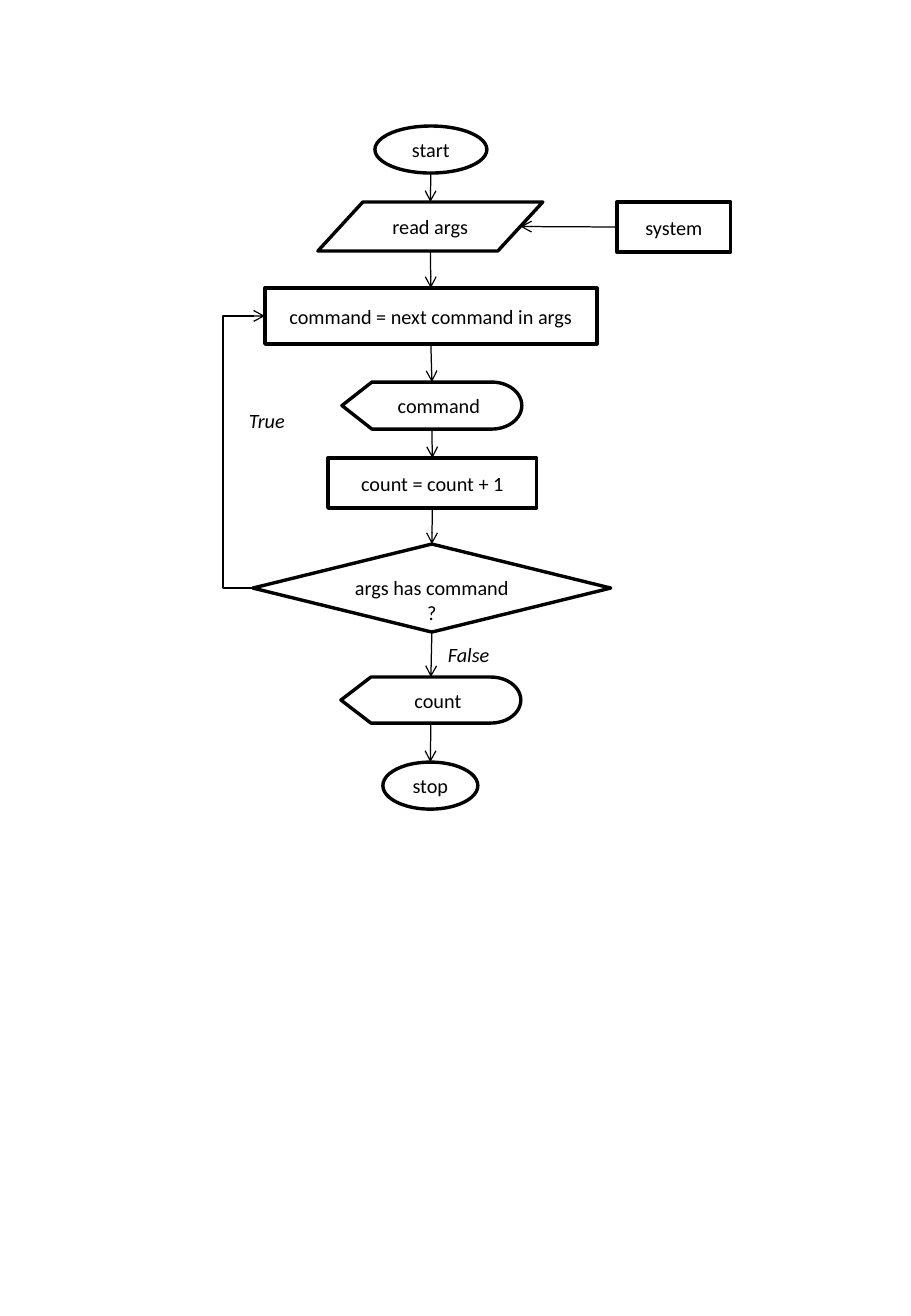
"""Build a flowchart that reads arguments, shows each command and counts them."""
from lxml import etree
from pptx import Presentation
from pptx import util as u
from pptx.dml.color import RGBColor
from pptx.enum import shapes, text
from pptx.oxml.ns import qn

PIXEL = u.Inches(1) / 121.5
BLACK = RGBColor(0, 0, 0)
WHITE = RGBColor(255, 255, 255)
FORM = shapes.MSO_SHAPE
INSET = 12


def pixels(*lengths):
    return [u.Emu(round(length * PIXEL)) for length in lengths]


def write(box, words, align, italic=False):
    frame = box.text_frame
    frame.text = words
    frame.word_wrap = False
    frame.vertical_anchor = text.MSO_ANCHOR.MIDDLE
    for para in frame.paragraphs:
        para.alignment = align
        para.font.name = "Calibri"
        para.font.size = u.Pt(12)
        para.font.italic = italic
        para.font.color.rgb = BLACK


deck = Presentation()
deck.slide_width, deck.slide_height = u.Inches(7.5), u.Inches(10.83)
page = deck.slides.add_slide(deck.slide_layouts[6])

steps = {
    "start": (FORM.OVAL, "start", 375, 126, 112, 47),
    "read": (FORM.FLOWCHART_DATA, "read args", 318, 202, 225, 49),
    "next": (FORM.RECTANGLE, "command = next command in args", 265, 288, 332, 56),
    "show command": (FORM.FLOWCHART_DISPLAY, "command", 342, 382, 180, 47),
    "add": (FORM.RECTANGLE, "count = count + 1", 328, 458, 209, 50),
    "test": (FORM.FLOWCHART_DECISION, "args has command\n?", 253, 544, 358, 88),
    "show count": (FORM.FLOWCHART_DISPLAY, "count", 341, 677, 180, 46),
    "stop": (FORM.OVAL, "stop", 383, 762, 95, 47),
    "system": (FORM.RECTANGLE, "system", 617, 202, 114, 50),
}
boxes, ports = {}, {}
for name, (form, words, left, top, width, height) in steps.items():
    box = page.shapes.add_shape(form, *pixels(left, top, width, height))
    box.shadow.inherit = False
    box.fill.solid()
    box.fill.fore_color.rgb = WHITE
    box.line.color.rgb = BLACK
    box.line.width = u.Pt(2)
    write(box, words, text.PP_ALIGN.CENTER)
    if form == FORM.FLOWCHART_DISPLAY:
        box.text_frame.margin_left = pixels(INSET + 14)[0]
    elif form == FORM.FLOWCHART_DECISION:
        box.text_frame.margin_top = pixels(INSET / 2 + 24)[0]

    sites = {FORM.OVAL: (0, 2, 4, 6), FORM.FLOWCHART_DATA: (1, 2, 4, 5)}.get(form, (0, 1, 2, 3))
    slant = width / 10 if form == FORM.FLOWCHART_DATA else 0
    center, middle = left + width / 2, top + height / 2
    points = [(center, top), (left + slant, middle),
              (center, top + height), (left + width - slant, middle)]
    boxes[name] = box
    ports[name] = dict(zip(("top", "left", "bottom", "right"), zip(points, sites)))

flow = [name for name in steps if name != "system"]
links = [(first, "bottom", second, "top") for first, second in zip(flow, flow[1:])]
links += [("system", "left", "read", "right"), ("test", "left", "next", "left")]
for source, source_side, target, target_side in links:
    (start, start_site), (end, end_site) = ports[source][source_side], ports[target][target_side]
    loops = source_side == target_side
    kind = shapes.MSO_CONNECTOR.ELBOW if loops else shapes.MSO_CONNECTOR.STRAIGHT
    arrow = page.shapes.add_connector(kind, *pixels(*start, *end))
    arrow.line.color.rgb = BLACK
    arrow.line.width = u.Pt(0.75)
    properties = arrow._element.spPr
    etree.SubElement(properties.find(qn("a:ln")), qn("a:tailEnd"), type="arrow")
    etree.SubElement(properties, qn("a:effectLst"))
    if loops:
        bend = round((223 - start[0]) / (end[0] - start[0]) * 100000)
        guides = properties.find(qn("a:prstGeom")).find(qn("a:avLst"))
        etree.SubElement(guides, qn("a:gd"), name="adj1", fmla=f"val {bend}")
    glue = next(arrow._element.iter(qn("p:cNvCxnSpPr")))
    for tag, name, site in (("a:stCxn", source, start_site), ("a:endCxn", target, end_site)):
        etree.SubElement(glue, qn(tag), id=str(boxes[name].shape_id), idx=str(site))

for words, left, top, width in (("True", 237, 402, 61), ("False", 436, 636, 67)):
    label = page.shapes.add_textbox(*pixels(left, top, width, 36))
    write(label, words, text.PP_ALIGN.LEFT, italic=True)
    label.text_frame.auto_size = text.MSO_AUTO_SIZE.SHAPE_TO_FIT_TEXT

deck.save("out.pptx")
